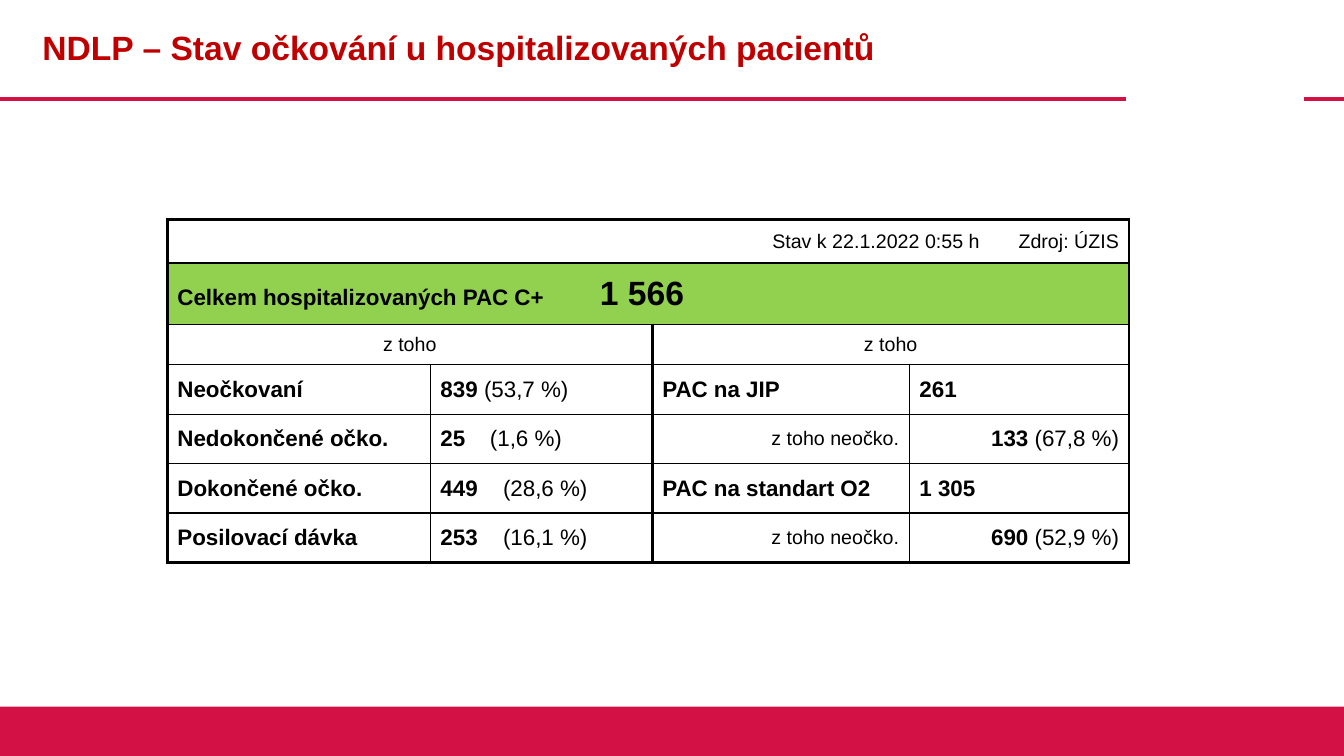
from lxml import etree
from pptx import Presentation
from pptx.dml.color import RGBColor
from pptx.enum.shapes import MSO_CONNECTOR, MSO_SHAPE
from pptx.enum.text import MSO_ANCHOR, PP_ALIGN
from pptx.oxml.ns import qn
from pptx.util import Inches, Pt

LEFT, CENTER, RIGHT = PP_ALIGN.LEFT, PP_ALIGN.CENTER, PP_ALIGN.RIGHT
MIDDLE = MSO_ANCHOR.MIDDLE
COLORS = {"band": "D31145", "title": "C00000", "total": "92D050",
          "text": "000000", "border": "000000", "paper": "FFFFFF"}
FONT = "Arial"
THIN, THICK = 1, 2.25

TITLE = "NDLP – Stav očkování u hospitalizovaných pacientů"
RULES = [(0, 11.17), (12.93, 13.33)]
RULE_Y = 0.98
COLS = [2.37, 0.16, 2.2, 2.55, 0.8, 1.38]
ROWS = [0.43, 0.61, 0.4] + [0.49] * 4
HALF = 3  # column where the right half starts

# Runs are (text, size, bold); cells are (column span, alignment, tab stop, runs)
HEADER_ROWS = [
    [(1, LEFT, None, []), (2, LEFT, None, []),
     (2, RIGHT, None, [("Stav k 22.1.2022 0:55 h", 14, False)]),
     (1, RIGHT, None, [("Zdroj: ÚZIS", 14, False)])],
    [(6, LEFT, 4.19, [("Celkem hospitalizovaných PAC C+\t", 16, True),
                      ("1 566", 24, True)])],
    [(3, CENTER, None, [("z toho", 14, False)])] * 2,
]
# Vaccination status, count, share, tab stop; ward label, count, share
PATIENTS = [
    ("Neočkovaní", "839 ", "(53,7 %)", None, "PAC na JIP", "261", ""),
    ("Nedokončené očko.", "25\t", "(1,6 %)", 0.49, "z toho neočko.", "133 ", "(67,8 %)"),
    ("Dokončené očko.", "449\t", "(28,6 %)", 0.62, "PAC na standart O2", "1 305", ""),
    ("Posilovací dávka", "253\t", "(16,1 %)", 0.62, "z toho neočko.", "690 ", "(52,9 %)"),
]


def rgb(name):
    return RGBColor.from_string(COLORS[name])


def patient_row(status, count, share, tab, ward, ward_count, ward_share):
    is_subset = bool(ward_share)
    align = RIGHT if is_subset else LEFT
    ward_runs = [(ward_count, 16, True)]
    if is_subset:
        ward_runs.append((ward_share, 16, False))
    return [
        (2, LEFT, None, [(status, 16, True)]),
        (1, LEFT, tab, [(count, 16, True), (share, 16, False)]),
        (1, align, None, [(ward, 14 if is_subset else 16, not is_subset)]),
        (2, align, None, ward_runs),
    ]


def write(tf, runs, color="text", align=LEFT, tab=None, spacing=None):
    p = tf.paragraphs[0]
    p.alignment = align
    if spacing:
        p.line_spacing = spacing
    if tab:
        tabs = etree.SubElement(p._p.get_or_add_pPr(), qn("a:tabLst"))
        etree.SubElement(tabs, qn("a:tab"), pos=str(Inches(tab)), algn="l")
    for text, size, bold in runs:
        r = p.add_run()
        r.text = text
        r.font.name, r.font.size, r.font.bold = FONT, Pt(size), bold
        r.font.color.rgb = rgb(color)


def set_borders(cell, widths):
    """Set left, right, top and bottom lines; a width of 0 means no line."""
    tc_pr = cell._tc.get_or_add_tcPr()
    for i, (side, width) in enumerate(zip("LRTB", widths)):
        ln = etree.Element(qn(f"a:ln{side}"), w=str(Pt(width)))
        if width:
            fill = etree.SubElement(ln, qn("a:solidFill"))
            etree.SubElement(fill, qn("a:srgbClr"), val=COLORS["border"])
        else:
            etree.SubElement(ln, qn("a:noFill"))
        tc_pr.insert(i, ln)


def vertical_width(row, edge):
    if edge in (0, len(COLS)):
        return THICK
    if row == 0:
        return 0
    return THICK if edge == HALF else THIN


def horizontal_width(edge):
    return THICK if edge in (0, len(ROWS)) else THIN


def add_patient_table(slide):
    frame = slide.shapes.add_table(
        len(ROWS), len(COLS), Inches(1.66), Inches(2.18),
        Inches(sum(COLS)), Inches(sum(ROWS)))
    table = frame.table
    for column, width in zip(table.columns, COLS):
        column.width = Inches(width)
    for row, height in zip(table.rows, ROWS):
        row.height = Inches(height)

    content = HEADER_ROWS + [patient_row(*record) for record in PATIENTS]
    for r, cells in enumerate(content):
        c = 0
        for span, align, tab, runs in cells:
            end = c + span
            cell = table.cell(r, c)
            if span > 1:
                cell.merge(table.cell(r, end - 1))
            cell.vertical_anchor = MIDDLE
            write(cell.text_frame, runs, align=align, tab=tab)
            widths = (vertical_width(r, c), vertical_width(r, end),
                      horizontal_width(r), horizontal_width(r + 1))
            for i in range(c, end):
                part = table.cell(r, i)
                set_borders(part, widths)
                part.fill.solid()
                part.fill.fore_color.rgb = rgb("total" if r == 1 else "paper")
            c = end


def add_frame(slide):
    for start, end in RULES:
        line = slide.shapes.add_connector(
            MSO_CONNECTOR.STRAIGHT, Inches(start), Inches(RULE_Y),
            Inches(end), Inches(RULE_Y))
        line.line.color.rgb = rgb("band")
        line.line.width = Pt(3)
        etree.SubElement(line._element.spPr, qn("a:effectLst"))
    band = slide.shapes.add_shape(
        MSO_SHAPE.RECTANGLE, 0, Inches(7.01), Inches(13.33), Inches(0.49))
    band.shadow.inherit = False
    band.fill.solid()
    band.fill.fore_color.rgb = rgb("band")
    band.line.fill.background()


def main():
    prs = Presentation()
    prs.slide_width, prs.slide_height = Inches(13.33), Inches(7.5)
    slide = prs.slides.add_slide(prs.slide_layouts[5])
    add_frame(slide)

    title = slide.shapes.title
    title.left, title.top = Inches(0.32), 0
    title.width, title.height = Inches(10.81), Inches(RULE_Y)
    title.text_frame.vertical_anchor = MIDDLE
    write(title.text_frame, [(TITLE, 24, True)], color="title", spacing=0.9)

    add_patient_table(slide)
    prs.save("out.pptx")


if __name__ == "__main__":
    main()
